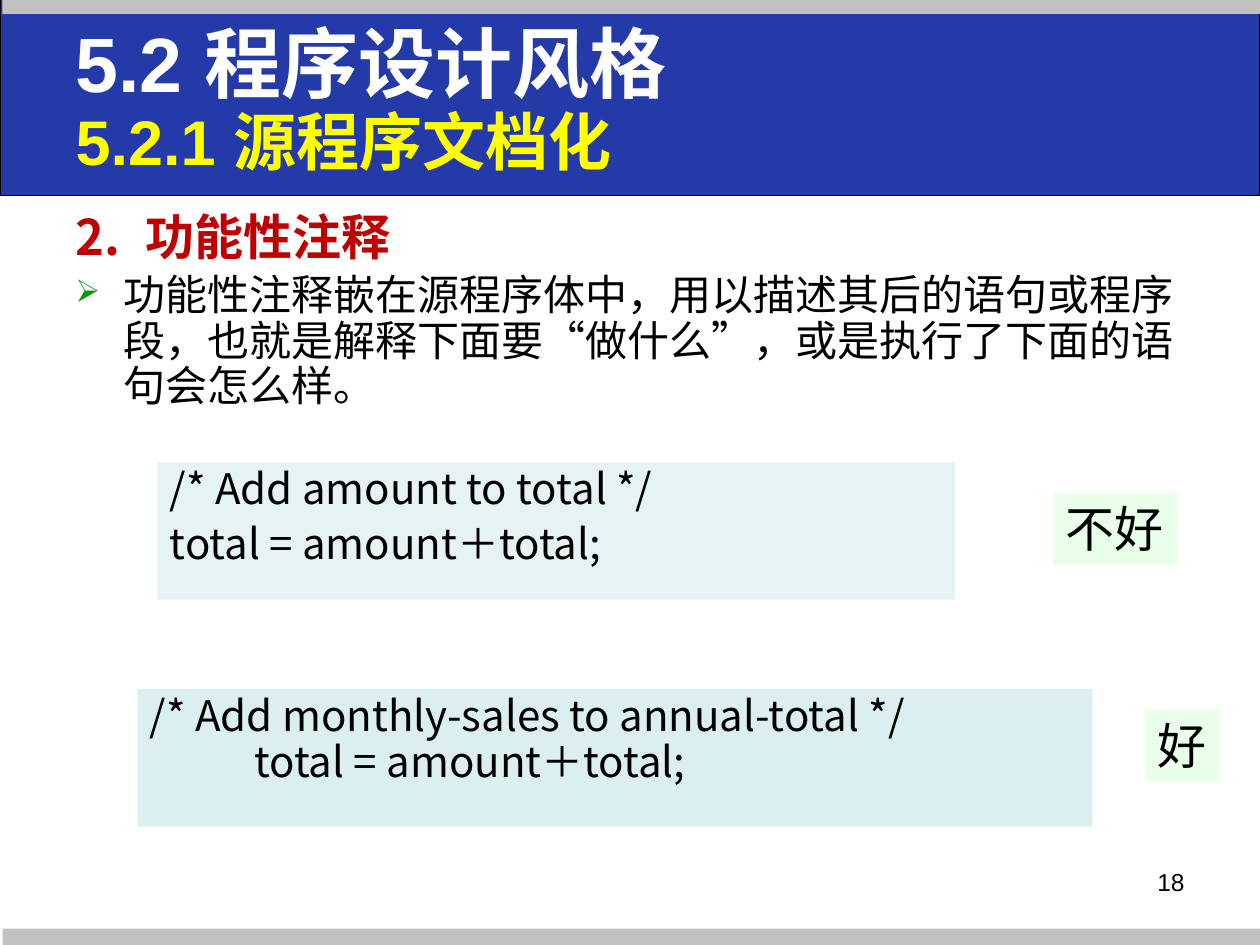
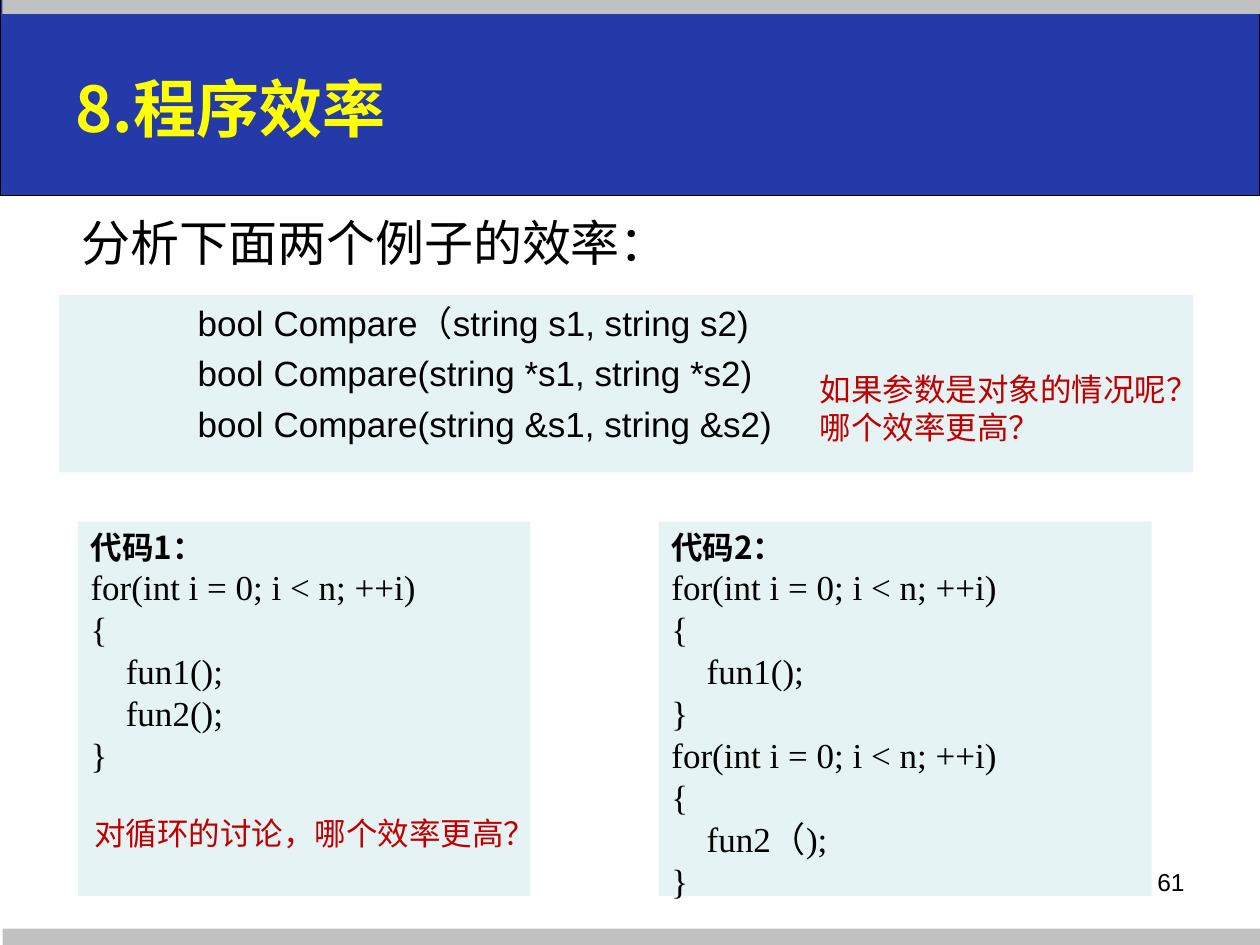
from dataclasses import dataclass

from lxml import etree
from pptx import Presentation, util as u
from pptx.dml.color import RGBColor
from pptx.enum import shapes, text
from pptx.oxml.ns import qn

PX = 9144
TITLE_ONLY = 5


@dataclass(frozen=True)
class Theme:
    """Colours, fonts and type sizes of the deck."""

    banner: str = "243AA8"
    strip: str = "C1C1C1"
    white: str = "FFFFFF"
    black: str = "000000"
    yellow: str = "FFFF00"
    red: str = "C00000"
    bullet: str = "009900"
    pale: str = "BBE0E3"
    teal: str = "9ED3D7"
    green: str = "70FF70"
    sans: str = "Arial"
    serif: str = "Times New Roman"
    chinese: str = "Noto Sans CJK SC"
    chapter: int = 44
    section: int = 36
    heading: int = 28
    body: int = 24
    code: int = 20
    note: int = 18
    number: int = 14
    gap: int = 5


THEME = Theme()


def px(length):
    """Turn px into EMU."""
    return u.Emu(length * PX)


def add_bullet(paragraph, tag, color=None, percent=None, **attributes):
    """Give a paragraph a bullet or an automatic number."""
    properties = paragraph._p.get_or_add_pPr()
    if color:
        holder = etree.SubElement(properties, qn("a:buClr"))
        etree.SubElement(holder, qn("a:srgbClr"), val=color)
    if percent:
        etree.SubElement(properties, qn("a:buSzPct"), val=str(percent * 1000))
    etree.SubElement(properties, qn(tag), **attributes)


def write(frame, content, size=THEME.body, font=THEME.chinese, color=THEME.black,
          bold=False, align=text.PP_ALIGN.LEFT, margin=0, indent=0,
          line=None, before=0, bullet=None):
    """Add one paragraph per line of content, all in the same format."""
    for words in content.split("\n"):
        first = frame.paragraphs[0]
        paragraph = frame.add_paragraph() if first.runs else first
        paragraph.alignment = align
        paragraph.space_before = u.Pt(before)
        if line:
            paragraph.line_spacing = line
        properties = paragraph._p.get_or_add_pPr()
        properties.set("marL", str(px(margin)))
        properties.set("indent", str(px(indent)))
        if bullet:
            add_bullet(paragraph, **bullet)
        run = paragraph.add_run()
        run.text = words
        run.font.size = u.Pt(size)
        run.font.name = font
        run.font.bold = bold
        run.font.color.rgb = RGBColor.from_string(color)
        etree.SubElement(run._r.get_or_add_rPr(), qn("a:ea"), typeface=THEME.chinese)


class Deck:
    """Holds the style and the current slide."""

    def __init__(self, theme):
        """Start a presentation whose title layout carries the bands."""
        self.theme = theme
        self.presentation = Presentation()
        self.presentation.slide_width = px(1000)
        self.presentation.slide_height = px(750)
        self.layout = self.presentation.slide_layouts[TITLE_ONLY]
        self.slide = None

    def new_slide(self, number):
        """Add a slide with its page number and return its title frame."""
        self.slide = self.presentation.slides.add_slide(self.layout)
        if len(self.presentation.slides) == 1:
            self.add_bands()
        title = self.slide.shapes.title
        title.left, title.top, title.width, title.height = map(px, (50, 23, 900, 125))
        frame = title.text_frame
        frame.auto_size = text.MSO_AUTO_SIZE.NONE
        frame.vertical_anchor = text.MSO_ANCHOR.MIDDLE
        write(self.text_box(717, 683, 233, 52), str(number), size=self.theme.number,
              font=self.theme.sans, align=text.PP_ALIGN.RIGHT)
        return frame

    def add_bands(self):
        """Place the banner and the two grey strips on the layout."""
        banner = self.rectangle(0, -2, 1000, 157, self.theme.banner)
        banner.line.color.rgb = RGBColor.from_string(self.theme.black)
        banner.line.width = u.Pt(0.75)
        bottom = self.rectangle(2, 737, 998, 13, self.theme.strip)
        top = self.rectangle(2, -1, 1000, 12, self.theme.strip)
        for identifier, band in enumerate((banner, bottom, top), 101):
            band.element.nvSpPr.cNvPr.set("id", str(identifier))
            self.layout.shapes.element.append(band.element)

    def rectangle(self, left, top, width, height, color, opacity=100):
        """Draw a plain rectangle, see-through if opacity is below 100."""
        shape = self.slide.shapes.add_shape(
            shapes.MSO_SHAPE.RECTANGLE, *map(px, (left, top, width, height)))
        shape.shadow.inherit = False
        shape.fill.solid()
        shape.fill.fore_color.rgb = RGBColor.from_string(color)
        shape.line.fill.background()
        if opacity < 100:
            tint = shape.element.spPr.find(".//" + qn("a:srgbClr"))
            etree.SubElement(tint, qn("a:alpha"), val=str(opacity * 1000))
        return shape

    def panel(self, left, top, width, height, color, opacity, wrap=True):
        """Draw a tinted rectangle and return its text frame."""
        frame = self.rectangle(left, top, width, height, color, opacity).text_frame
        frame.vertical_anchor = text.MSO_ANCHOR.TOP
        frame.word_wrap = wrap
        return frame

    def text_box(self, left, top, width, height, wrap=True):
        """Add a text box and return its text frame."""
        frame = self.slide.shapes.add_textbox(
            *map(px, (left, top, width, height))).text_frame
        frame.word_wrap = wrap
        return frame

    def verdict(self, left, top, width, content):
        """Add a green label that judges a comment."""
        frame = self.panel(left, top, width, 57, self.theme.green, 15, wrap=False)
        write(frame, content, size=self.theme.heading)

    def listing(self, left, width, heading, lines):
        """Add a code panel where a leading tab indents a line."""
        frame = self.panel(left, 414, width, 297, self.theme.teal, 25)
        write(frame, heading, size=self.theme.note, bold=True)
        for line in lines:
            write(frame, line.lstrip("\t"), size=self.theme.code,
                  font=self.theme.serif, margin=28 * line.count("\t"))

    def question(self, left, top, width, height, content, wrap=True):
        """Add a red question."""
        write(self.text_box(left, top, width, height, wrap), content,
              size=self.theme.note, color=self.theme.red)


def comments_slide(deck):
    """Build the slide on functional comments."""
    theme = deck.theme
    title = deck.new_slide(18)
    heading = dict(font=theme.sans, bold=True, line=u.Pt(40))
    write(title, "5.2 程序设计风格", size=theme.chapter, color=theme.white, **heading)
    write(title, "5.2.1 源程序文档化", size=theme.section, color=theme.yellow, **heading)

    spaced = dict(line=0.9, before=theme.gap)
    body = deck.text_box(50, 164, 900, 180)
    write(body, "功能性注释", size=theme.heading, color=theme.red, bold=True,
          margin=56, indent=-56, **spaced,
          bullet=dict(tag="a:buAutoNum", type="arabicPeriod", startAt="2"))
    write(body, "功能性注释嵌在源程序体中，用以描述其后的语句或程序段，"
          "也就是解释下面要“做什么”，或是执行了下面的语句会怎么样。",
          margin=38, indent=-38, **spaced,
          bullet=dict(tag="a:buChar", color=theme.bullet, percent=75, char="➢"))

    poor = deck.panel(125, 367, 633, 109, theme.pale, 38)
    write(poor, "/* Add amount to total */\ntotal = amount＋total;", **spaced)
    good = deck.panel(109, 547, 758, 109, theme.pale, 51)
    write(good, "/* Add monthly-sales to annual-total */", **spaced)
    write(good, "total = amount＋total;", line=0.9, margin=83)
    deck.verdict(836, 391, 99, "不好")
    deck.verdict(909, 563, 59, "好")


def efficiency_slide(deck):
    """Build the slide on program efficiency."""
    theme = deck.theme
    write(deck.new_slide(61), "8.程序效率", size=theme.section,
          color=theme.yellow, bold=True)

    signatures = deck.panel(47, 234, 900, 141, theme.teal, 25)
    write(signatures, "bool Compare（string s1, string s2)\n"
          "bool Compare(string *s1, string *s2)\n"
          "bool Compare(string &s1, string &s2)",
          size=theme.code, font=theme.sans, margin=125, indent=-25, before=theme.gap)

    loop = ["for(int i = 0; i < n; ++i)", "{"]
    deck.listing(62, 359, "代码1：", loop + ["\tfun1();", "\tfun2();", "}"])
    deck.listing(523, 391, "代码2：",
                 loop + ["\tfun1();", "}"] + loop + ["\tfun2（);", "}"])

    write(deck.text_box(55, 164, 491, 57, wrap=False),
          "分析下面两个例子的效率：", size=theme.heading)
    deck.question(641, 289, 297, 71, "如果参数是对象的情况呢？哪个效率更高？")
    deck.question(65, 641, 374, 40, "对循环的讨论，哪个效率更高？", wrap=False)


def main():
    """Build and save the deck."""
    deck = Deck(THEME)
    comments_slide(deck)
    efficiency_slide(deck)
    deck.presentation.save("out.pptx")


if __name__ == "__main__":
    main()
